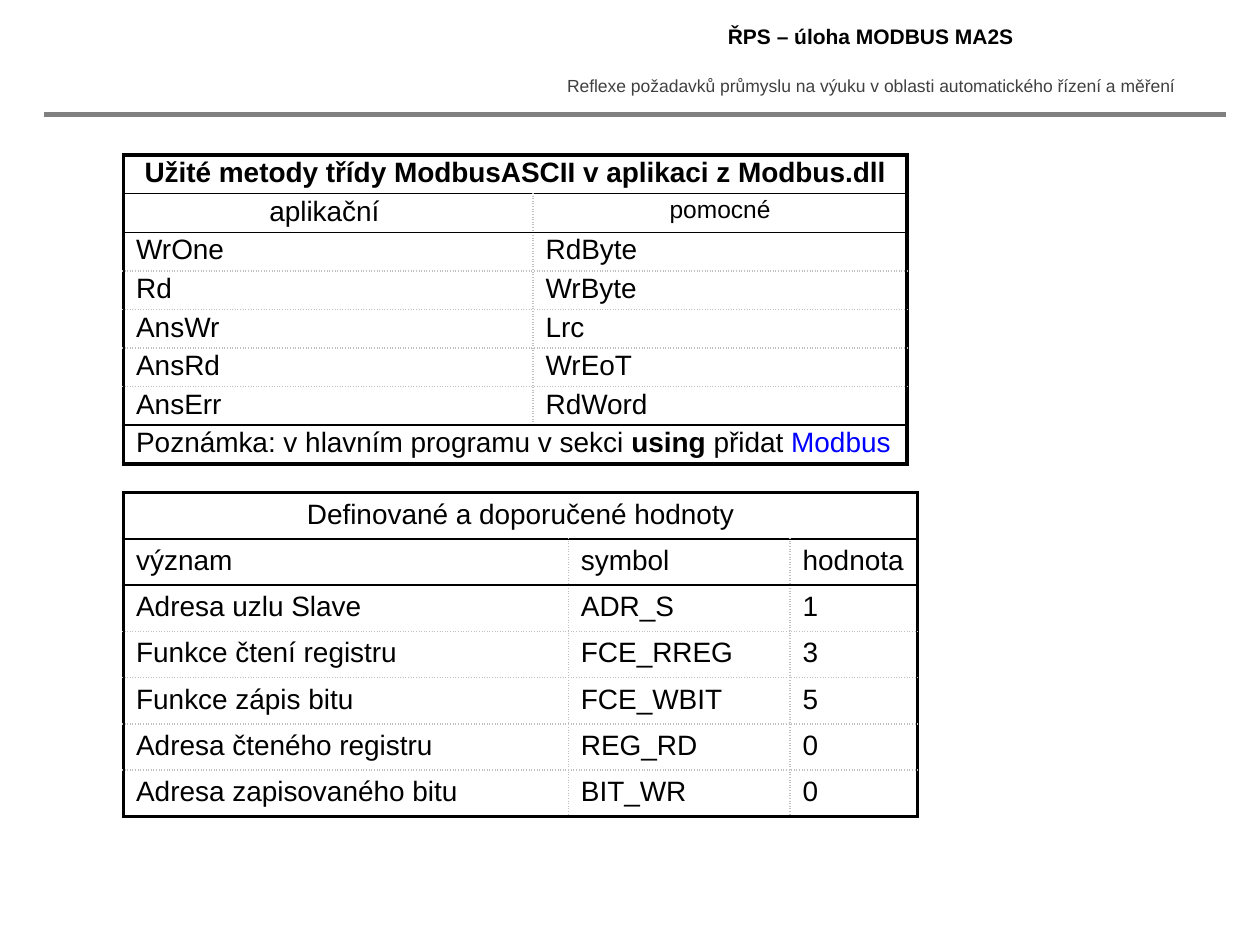
import pptx
import pptx.dml.color
import pptx.enum.shapes
import pptx.enum.text
import pptx.oxml
import pptx.oxml.ns
import pptx.util
from lxml import etree

Pt = pptx.util.Pt
CENTER = pptx.enum.text.PP_ALIGN.CENTER
COLORS = {"text": "000000", "subtitle": "404040", "rule": "808080", "grid": "C0C0C0", "link": "0000FF"}
OUTER = ("text", 2.25, "solid")
INNER = ("text", 1, "solid")
DOTTED = ("grid", 1, "sysDot")

METHODS = [
    ["Užité metody třídy ModbusASCII v aplikaci z Modbus.dll"],
    ["aplikační ", "pomocné"],
    ["WrOne", "RdByte"],
    ["Rd", "WrByte"],
    ["AnsWr", "Lrc"],
    ["AnsRd", "WrEoT"],
    ["AnsErr", "RdWord"],
    ["Poznámka: v hlavním programu v sekci "],
]
VALUES = [
    ["Definované a doporučené hodnoty"],
    ["význam", "symbol", "hodnota"],
    ["Adresa uzlu Slave", "ADR_S", "1"],
    ["Funkce čtení registru", "FCE_RREG", "3"],
    ["Funkce zápis bitu", "FCE_WBIT", "5"],
    ["Adresa čteného registru", "REG_RD", "0"],
    ["Adresa zapisovaného bitu", "BIT_WR", "0"],
]


def rgb(name):
    return pptx.dml.color.RGBColor.from_string(COLORS[name])


def format_span(span, size=16, color="text", bold=False):
    span.font.name = "Arial"
    span.font.size = Pt(size)
    span.font.bold = bold
    span.font.color.rgb = rgb(color)


def add_span(para, text, **style):
    span = para.add_run()
    span.text = text
    format_span(span, **style)


def set_borders(cell, borders):
    properties = cell._tc.get_or_add_tcPr()
    for position, (side, (color, width, dash)) in enumerate(borders.items()):
        line = pptx.oxml.parse_xml(
            f'<a:ln{side} {pptx.oxml.ns.nsdecls("a")} w="{Pt(width)}">'
            f'<a:solidFill><a:srgbClr val="{COLORS[color]}"/></a:solidFill>'
            f'<a:prstDash val="{dash}"/></a:ln{side}>'
        )
        properties.insert(position, line)


def add_grid(page, box, widths, rows, solid_after, margin):
    left, top, width, height = box
    last_row, last_column = len(rows) - 1, len(widths) - 1
    table = page.shapes.add_table(
        len(rows), len(widths), Pt(left), Pt(top), Pt(width), Pt(height)
    ).table
    table.first_row = False
    table.horz_banding = False
    for column, column_width in zip(table.columns, widths):
        column.width = Pt(column_width)

    def horizontal(index):
        if index in (-1, last_row):
            return OUTER
        return INNER if index in solid_after else DOTTED

    for row_index, texts in enumerate(rows):
        table.rows[row_index].height = Pt(height / len(rows))
        merged = len(texts) == 1
        if merged:
            table.cell(row_index, 0).merge(table.cell(row_index, last_column))
        for column_index in range(len(widths)):
            cell = table.cell(row_index, column_index)
            cell.fill.background()
            cell.margin_left = cell.margin_right = Pt(7.2)
            cell.margin_top = cell.margin_bottom = Pt(margin)
            set_borders(cell, {
                "L": OUTER if merged or column_index == 0 else DOTTED,
                "R": OUTER if merged or column_index == last_column else DOTTED,
                "T": horizontal(row_index - 1),
                "B": horizontal(row_index),
            })
        for column_index, text in enumerate(texts):
            para = table.cell(row_index, column_index).text_frame.paragraphs[0]
            para.text = text
            format_span(para.runs[0])
    table.cell(0, 0).text_frame.paragraphs[0].alignment = CENTER
    return table


def add_methods(page, box):
    table = add_grid(page, box, (234, 213.8), METHODS, (0, 1, 6), 1.44)
    format_span(table.cell(0, 0).text_frame.paragraphs[0].runs[0], bold=True)
    for cell, size in zip(table.rows[1].cells, (16, 14)):
        para = cell.text_frame.paragraphs[0]
        para.alignment = CENTER
        format_span(para.runs[0], size=size)
    note = table.cell(len(METHODS) - 1, 0).text_frame.paragraphs[0]
    add_span(note, "using ", bold=True)
    add_span(note, "přidat ")
    add_span(note, "Modbus", color="link")


def add_values(page, box):
    add_grid(page, box, (254.2, 126.7, 72.7), VALUES, (0, 1), 3.6)


def add_label(page, box, text, **style):
    frame = page.shapes.add_textbox(*map(Pt, box)).text_frame
    frame.word_wrap = True
    para = frame.paragraphs[0]
    para.text = text
    para.alignment = CENTER
    format_span(para.runs[0], **style)


def add_header(page, box):
    left, top, width, height = box
    label_left, label_width = left + 284.4, 376
    add_label(page, (label_left, top, label_width, 22.3), "ŘPS – úloha MODBUS MA2S", size=12, bold=True)
    add_label(
        page, (label_left, top + 29.5, label_width, 19.4),
        "Reflexe požadavků průmyslu na výuku v oblasti automatického řízení a měření",
        size=10, color="subtitle",
    )
    bottom = Pt(top + height)
    rule = page.shapes.add_connector(
        pptx.enum.shapes.MSO_CONNECTOR.STRAIGHT, Pt(left), bottom, Pt(left + width), bottom
    )
    rule.line.color.rgb = rgb("rule")
    rule.line.width = Pt(3)
    etree.SubElement(rule._element.spPr, pptx.oxml.ns.qn("a:effectLst"))


def main():
    deck = pptx.Presentation()
    deck.slide_width = Pt(720)
    deck.slide_height = Pt(540)
    page = deck.slides.add_slide(deck.slide_layouts[6])
    add_header(page, (25.2, 10.1, 675.4, 55.4))
    add_methods(page, (70.6, 88.6, 447.8, 176.4))
    add_values(page, (70.6, 281.5, 453.6, 185))
    deck.save("out.pptx")


if __name__ == "__main__":
    main()
